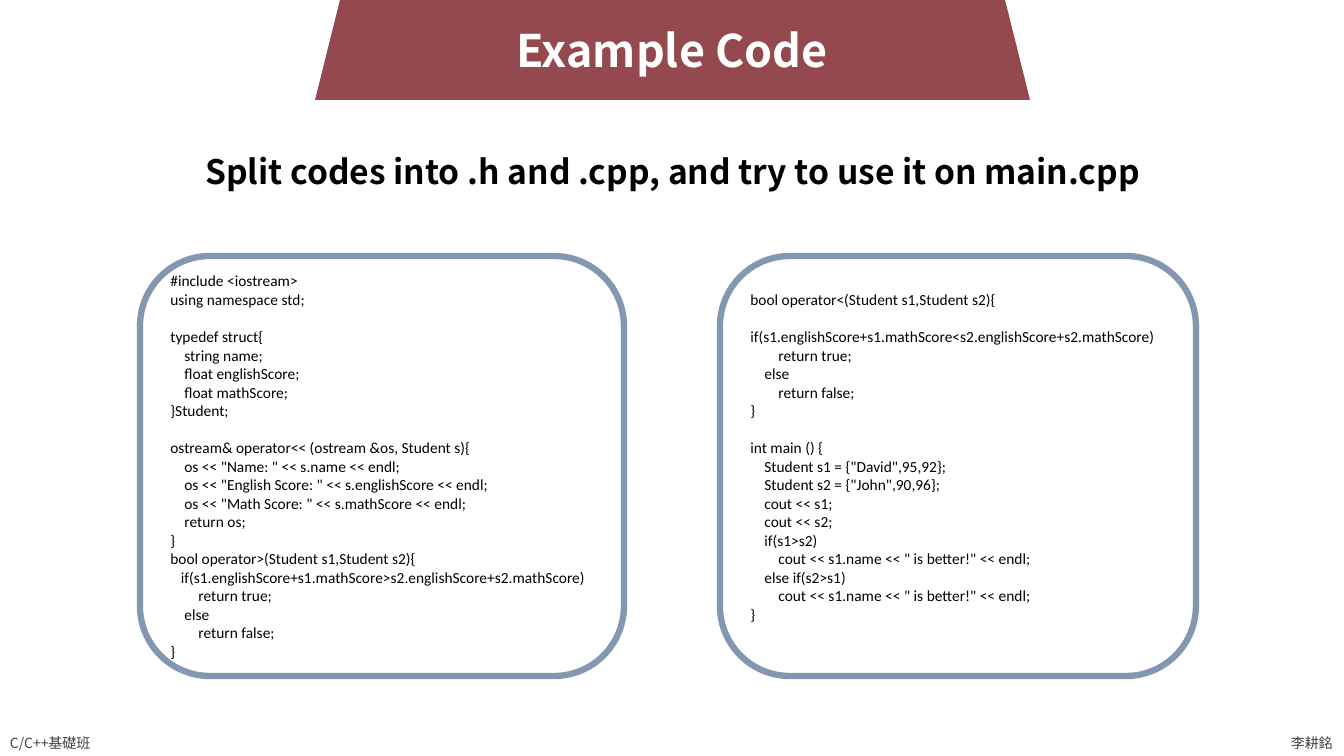
from lxml import etree
from pptx import Presentation
from pptx import util as u
from pptx.dml.color import RGBColor
from pptx.enum import shapes, text
from pptx.oxml.ns import qn

PX = 914400 / 100.8
MAROON = RGBColor(0x94, 0x49, 0x4E)
STEEL = RGBColor(0x84, 0x97, 0xB0)
WHITE = RGBColor(0xFF, 0xFF, 0xFF)
BLACK = RGBColor(0, 0, 0)
GREY = RGBColor(0x40, 0x40, 0x40)
HEADING_FONT = "Noto Sans CJK TC"
CODE_FONT = "Calibri"
CODE_LINE = u.Pt(13.4)
SPACE_WIDTH = u.Pt(2.5)

STUDENT_CODE = """\
#include <iostream>
using namespace std;

typedef struct{
    string name;
    float englishScore;
    float mathScore;
}Student;

ostream& operator<< (ostream &os, Student s){
    os << "Name: " << s.name << endl;
    os << "English Score: " << s.englishScore << endl;
    os << "Math Score: " << s.mathScore << endl;
    return os;
}
bool operator>(Student s1,Student s2){
   if(s1.englishScore+s1.mathScore>s2.englishScore+s2.mathScore)
        return true;
    else
        return false;
}"""

MAIN_CODE = """\
bool operator<(Student s1,Student s2){

if(s1.englishScore+s1.mathScore<s2.englishScore+s2.mathScore)
        return true;
    else
        return false;
}

int main () {
    Student s1 = {"David",95,92};
    Student s2 = {"John",90,96};
    cout << s1;
    cout << s2;
    if(s1>s2)
        cout << s1.name << " is better!" << endl;
    else if(s2>s1)
        cout << s1.name << " is better!" << endl;
}"""


def px(*lengths):
    return [u.Emu(round(length * PX)) for length in lengths]


def write_line(box, words, size, color, bold=False, align=text.PP_ALIGN.LEFT):
    """Fill a box with one line in the heading font, for Latin and Chinese."""
    frame = box.text_frame
    frame.text = words
    frame.auto_size = text.MSO_AUTO_SIZE.NONE
    frame.vertical_anchor = text.MSO_ANCHOR.MIDDLE
    para = frame.paragraphs[0]
    para.alignment = align
    para.font.size = u.Pt(size)
    para.font.bold = bold
    para.font.color.rgb = color
    para.font.name = HEADING_FONT
    run_props = para.runs[0].font._element
    etree.SubElement(run_props, qn("a:ea"), typeface=HEADING_FONT)


deck = Presentation()
deck.slide_width, deck.slide_height = px(1344, 756)
page = deck.slides.add_slide(deck.slide_layouts[1])

# Title on its banner
banner = page.shapes.add_shape(shapes.MSO_SHAPE.TRAPEZOID, *px(315, -23, 715, 123))
banner.shadow.inherit = False
banner.fill.solid()
banner.fill.fore_color.rgb = MAROON
banner.line.fill.background()
page.shapes._spTree.insert(2, banner._element)

title = page.shapes.title
title.left, title.top, title.width, title.height = px(506, 17, 332, 65)
write_line(title, "Example Code", 32, WHITE, True, text.PP_ALIGN.CENTER)
title.text_frame.word_wrap = False

# Task
task = page.placeholders[1]
task.left, task.top, task.width, task.height = px(125, 150, 1095, 55)
write_line(task, "Split codes into .h and .cpp, and try to use it on main.cpp",
           24, BLACK, True, text.PP_ALIGN.CENTER)
task.text_frame.vertical_anchor = text.MSO_ANCHOR.TOP
task_para = task.text_frame.paragraphs[0]
task_para.line_spacing = 0.9
task_para.space_before = u.Pt(10)
task_props = task_para._p.get_or_add_pPr()
task_props.set("marL", "0")
task_props.set("indent", "0")
task_props.insert_element_before(etree.Element(qn("a:buNone")), "a:tabLst", "a:defRPr")

# Code panels
for left, width, code, space_below in ((140, 484, STUDENT_CODE, 0),
                                       (720, 476, MAIN_CODE, CODE_LINE)):
    panel = page.shapes.add_shape(shapes.MSO_SHAPE.ROUNDED_RECTANGLE,
                                  *px(left, 256, width, 420))
    panel.shadow.inherit = False
    panel.fill.solid()
    panel.fill.fore_color.rgb = WHITE
    panel.line.color.rgb = STEEL
    panel.line.width = u.Pt(4.5)
    frame = panel.text_frame
    frame.word_wrap = True
    frame.vertical_anchor = text.MSO_ANCHOR.MIDDLE
    frame.margin_bottom += space_below

    para, gap = frame.paragraphs[0], 0
    for line in code.splitlines():
        if not line:
            gap = CODE_LINE
            continue
        if para.runs:
            para = frame.add_paragraph()
        words = line.lstrip()
        para.add_run().text = words
        para.alignment = text.PP_ALIGN.LEFT
        para.space_before = gap
        para.font.size = u.Pt(11)
        para.font.name = CODE_FONT
        para.font.color.rgb = BLACK
        indent = (len(line) - len(words)) * SPACE_WIDTH
        para._p.get_or_add_pPr().set("marL", str(indent))
        gap = 0

# Footer
for left, width, words in ((0, 108, "C/C++基礎班"), (1281, 63, "李耕銘")):
    footer = page.shapes.add_textbox(*px(left, 729, width, 27))
    write_line(footer, words, 10, GREY)
    footer.text_frame.word_wrap = False

deck.save("out.pptx")
